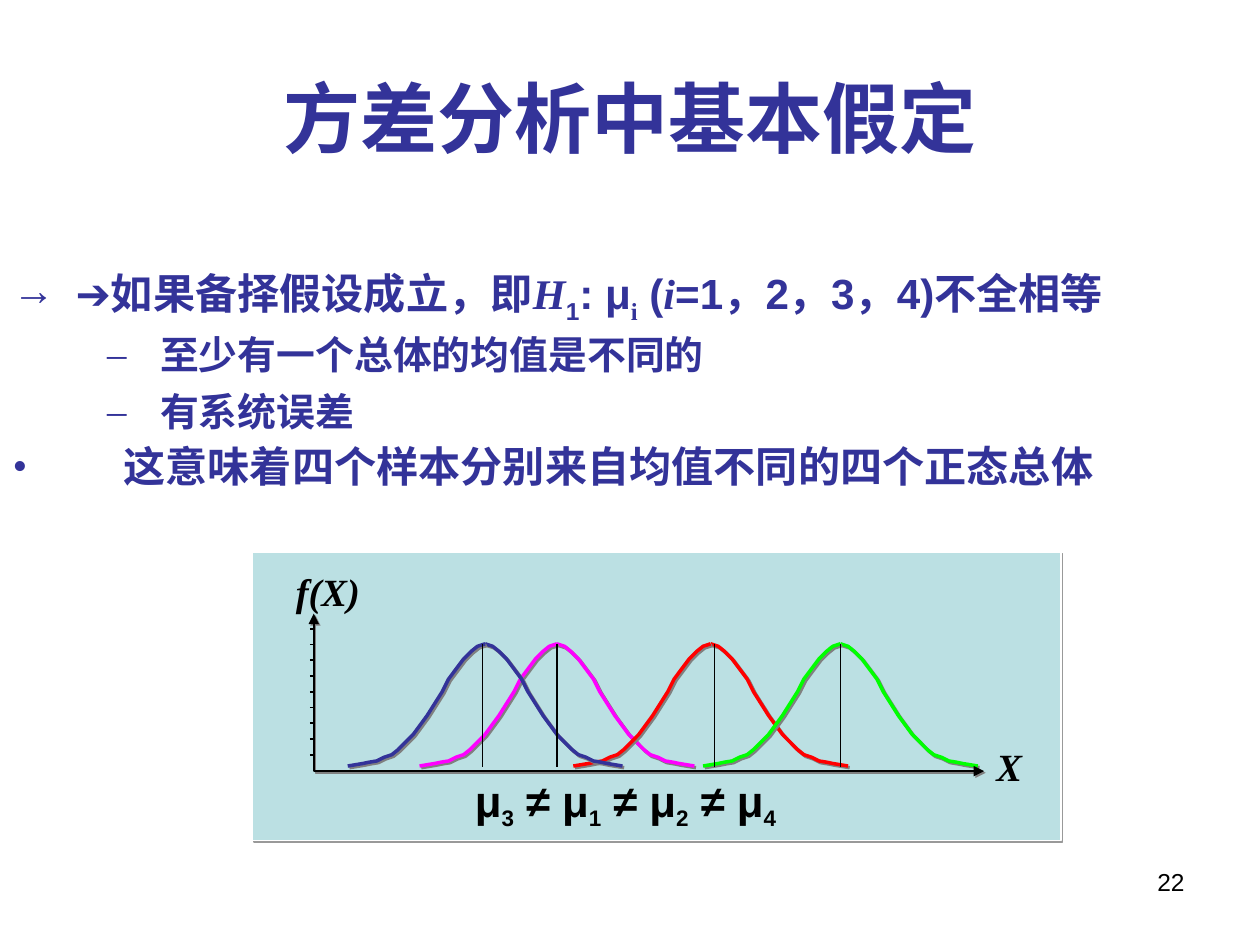
import pptx
import pptx.dml.color
import pptx.enum.shapes
import pptx.enum.text
import pptx.oxml
import pptx.oxml.ns
import pptx.util
from lxml import etree

Inches = pptx.util.Inches
Pt = pptx.util.Pt
qn = pptx.oxml.ns.qn

COLORS = {
    "navy": "333399", "black": "000000", "white": "FFFFFF", "panel": "BBE0E3",
    "magenta": "FF00FF", "red": "FF0000", "green": "00FF00",
    "shadow": "808080", "panel_shadow": "999999",
}
SANS, SERIF, CJK = "Arial", "Times New Roman", "Noto Sans CJK SC"

# Left half of a bell curve: distance from the mean, height on the slide
BELL = [(1.09, 6.08), (0.97, 6.06), (0.92, 6.05), (0.86, 6.04),
        (0.8, 6.01), (0.74, 5.99), (0.69, 5.95), (0.57, 5.83),
        (0.46, 5.68), (0.34, 5.49), (0.29, 5.39), (0.23, 5.31),
        (0.17, 5.23), (0.11, 5.17), (0.06, 5.13), (0, 5.11)]


def rgb(name):
    return pptx.dml.color.RGBColor.from_string(COLORS[name])


def fill_effects(effects, color):
    shadow = etree.SubElement(effects, qn("a:outerShdw"), blurRad="0",
                              dist=str(Pt(1.4)), dir="2700000")
    etree.SubElement(shadow, qn("a:srgbClr"), val=COLORS[color])


def add_shadow(sp, color="shadow"):
    sp.shadow.inherit = False
    fill_effects(sp._element.spPr.find(qn("a:effectLst")), color)


def add_run(p, text, size, font=SANS, color="navy", bold=True, italic=False,
            sub=False, shadow=False):
    r = p.add_run()
    r.text = text
    r.font.size, r.font.bold, r.font.italic = Pt(size), bold, italic
    r.font.color.rgb = rgb(color)
    r.font.name = font
    rPr = r._r.get_or_add_rPr()
    etree.SubElement(rPr, qn("a:ea"), typeface=CJK)
    if sub:
        rPr.set("baseline", "-25000")
    if shadow:
        effects = pptx.oxml.parse_xml(
            f"<a:effectLst {pptx.oxml.ns.nsdecls('a')}/>")
        fill_effects(effects, "shadow")
        rPr.find(qn("a:latin")).addprevious(effects)


def set_bullet(p, char, margin, indent, before, spacing=1.0):
    p.space_before, p.space_after, p.line_spacing = Pt(before), Pt(0), spacing
    pPr = p._p.get_or_add_pPr()
    pPr.set("marL", str(Inches(margin)))
    pPr.set("indent", str(Inches(indent)))
    color = etree.SubElement(pPr, qn("a:buClr"))
    etree.SubElement(color, qn("a:srgbClr"), val=COLORS["navy"])
    etree.SubElement(pPr, qn("a:buFont"), typeface=SERIF)
    etree.SubElement(pPr, qn("a:buChar"), char=char)


def place(sp, x, y, w, h):
    sp.left, sp.top, sp.width, sp.height = map(Inches, (x, y, w, h))
    sp.text_frame.auto_size = pptx.enum.text.MSO_AUTO_SIZE.NONE
    return sp.text_frame


def add_label(shapes, x, y, w, h, wrap=True):
    tf = shapes.add_textbox(*map(Inches, (x, y, w, h))).text_frame
    tf.word_wrap = wrap
    return tf.paragraphs[0]


def add_line(shapes, x1, y1, x2, y2):
    line = shapes.add_connector(pptx.enum.shapes.MSO_CONNECTOR.STRAIGHT,
                                *map(Inches, (x1, y1, x2, y2)))
    line.line.color.rgb = rgb("black")
    line.line.width = Pt(1)
    etree.SubElement(line._element.spPr, qn("a:effectLst"))


def add_path(shapes, points, color, width):
    points = [(Inches(x), Inches(y)) for x, y in points]
    builder = shapes.build_freeform(*points[0])
    builder.add_line_segments(points[1:], close=False)
    sp = builder.convert_to_shape()
    sp.fill.background()
    sp.line.color.rgb = rgb(color)
    sp.line.width = Pt(width)
    add_shadow(sp)
    return sp


def add_bell(shapes, mean, color):
    for side in (1, -1):
        add_path(shapes, [(mean + side * dx, y) for dx, y in BELL], color, 2)


def add_body(tf):
    tf.vertical_anchor = pptx.enum.text.MSO_ANCHOR.TOP
    # Alternative hypothesis
    p = tf.paragraphs[0]
    set_bullet(p, "→", 0.5, -0.5, 19.5, 0.9)
    for text, style in [
            ("➔", {}), ("如果备择假设成立，即", {"font": SERIF}),
            ("H", {"font": SERIF, "italic": True}), ("1", {"sub": True}),
            (": μ", {}), ("i", {"font": SERIF, "sub": True}), (" (", {}),
            ("i", {"font": SERIF, "italic": True}), ("=1，2，3，4)", {}),
            ("不全相等", {"font": CJK})]:
        add_run(p, text, 24.1, **style)
    # Consequences
    for text in ("至少有一个总体的均值是不同的", "有系统误差"):
        p = tf.add_paragraph()
        p.level = 1
        set_bullet(p, "–", 1.17, -0.42, 6)
        add_run(p, text, 22.2)
    # Meaning
    p = tf.add_paragraph()
    set_bullet(p, "•", 0.88, -0.88, 6.5, 0.9)
    add_run(p, "这意味着四个样本分别来自均值不同的四个正态总体", 24.1, SERIF)


def add_diagram(shapes):
    # Panel
    panel = shapes.add_shape(pptx.enum.shapes.MSO_SHAPE.RECTANGLE,
                             *map(Inches, (2, 4.38, 6.42, 2.29)))
    panel.fill.solid()
    panel.fill.fore_color.rgb = rgb("panel")
    panel.line.color.rgb = rgb("white")
    panel.line.width = Pt(1)
    add_shadow(panel, "panel_shadow")

    # Curves behind the axes
    for mean, color in ((4.42, "magenta"), (5.64, "red"), (6.67, "green")):
        add_bell(shapes, mean, color)

    # Axes with names and ticks
    for text, box in (("X", (7.81, 5.85, 0.4, 0.46)),
                      ("f(X)", (2.25, 4.46, 0.71, 0.46))):
        add_run(add_label(shapes, *box, wrap=False), text, 22, SERIF, "black",
                italic=True, shadow=True)
    axes = add_path(shapes, [(2.49, 4.87), (2.49, 6.12), (7.81, 6.12)],
                    "black", 1)
    for end in ("a:headEnd", "a:tailEnd"):
        etree.SubElement(axes.line._get_or_add_ln(), qn(end), type="triangle")
    for i in range(9):
        y = 4.99 + i * 0.125
        add_line(shapes, 2.46, y, 2.5, y)
    add_line(shapes, 2.77, 6.12, 2.77, 6.13)

    # Front curve, means and their inequality
    add_bell(shapes, 3.85, "navy")
    p = add_label(shapes, 3.67, 6.09, 2.83, 0.56)
    for i, index in enumerate("3124"):
        add_run(p, " ≠ μ" if i else "μ", 25, color="black")
        add_run(p, index, 22, color="black", sub=True)
    for x in (3.83, 4.42, 5.67, 6.67):
        add_line(shapes, x, 5.11, x, 6.09)


def main():
    prs = pptx.Presentation()
    prs.slide_width, prs.slide_height = Inches(10), Inches(7.5)
    s = prs.slides.add_slide(prs.slide_layouts[1])

    # Slide number
    p = add_label(s.shapes, 7.17, 6.83, 2.33, 0.52)
    p.alignment = pptx.enum.text.PP_ALIGN.RIGHT
    add_run(p, "22", 14, color="black", bold=False)

    # Title
    tf = place(s.shapes.title, 0.5, 0.3, 9, 1.25)
    tf.vertical_anchor = pptx.enum.text.MSO_ANCHOR.MIDDLE
    tf.paragraphs[0].alignment = pptx.enum.text.PP_ALIGN.CENTER
    add_run(tf.paragraphs[0], "方差分析中基本假定", 44)

    # Body and diagram
    add_body(place(s.placeholders[1], 0, 2.08, 10, 2.25))
    add_diagram(s.shapes.add_group_shape().shapes)
    prs.save("out.pptx")


if __name__ == "__main__":
    main()
